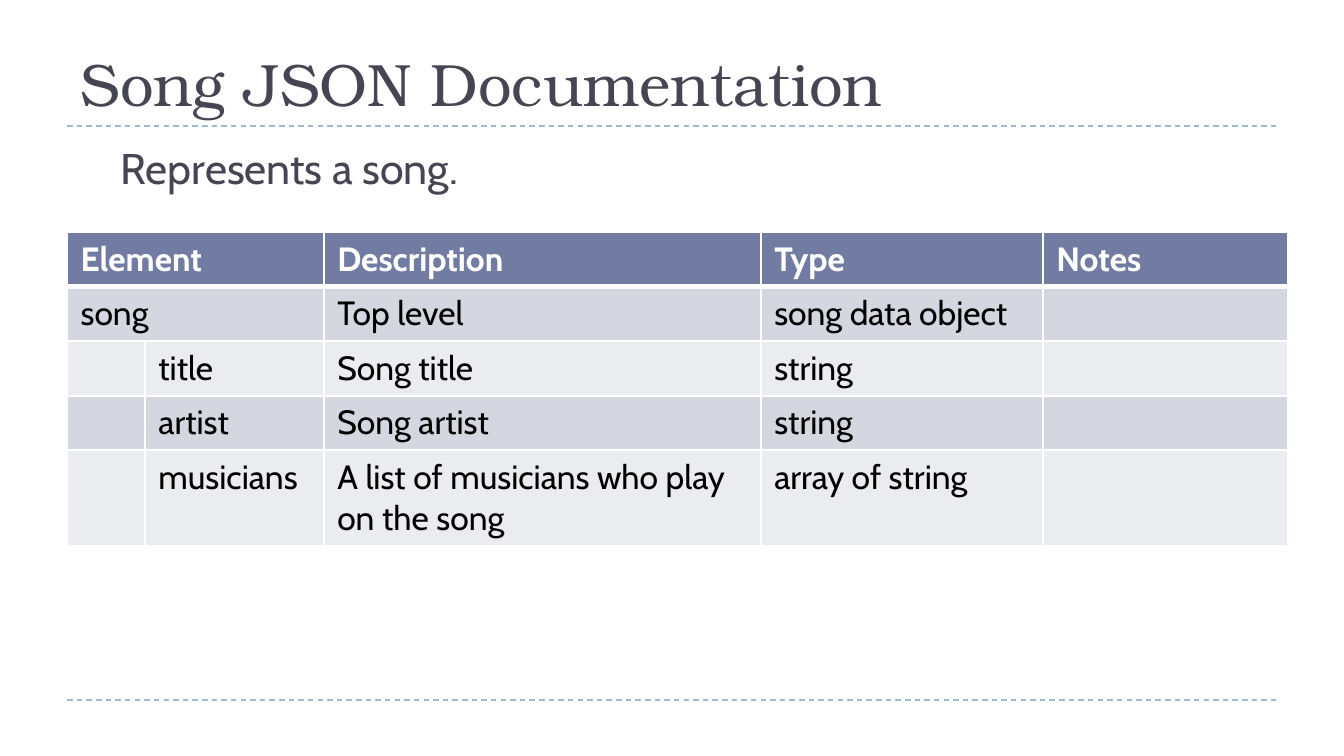
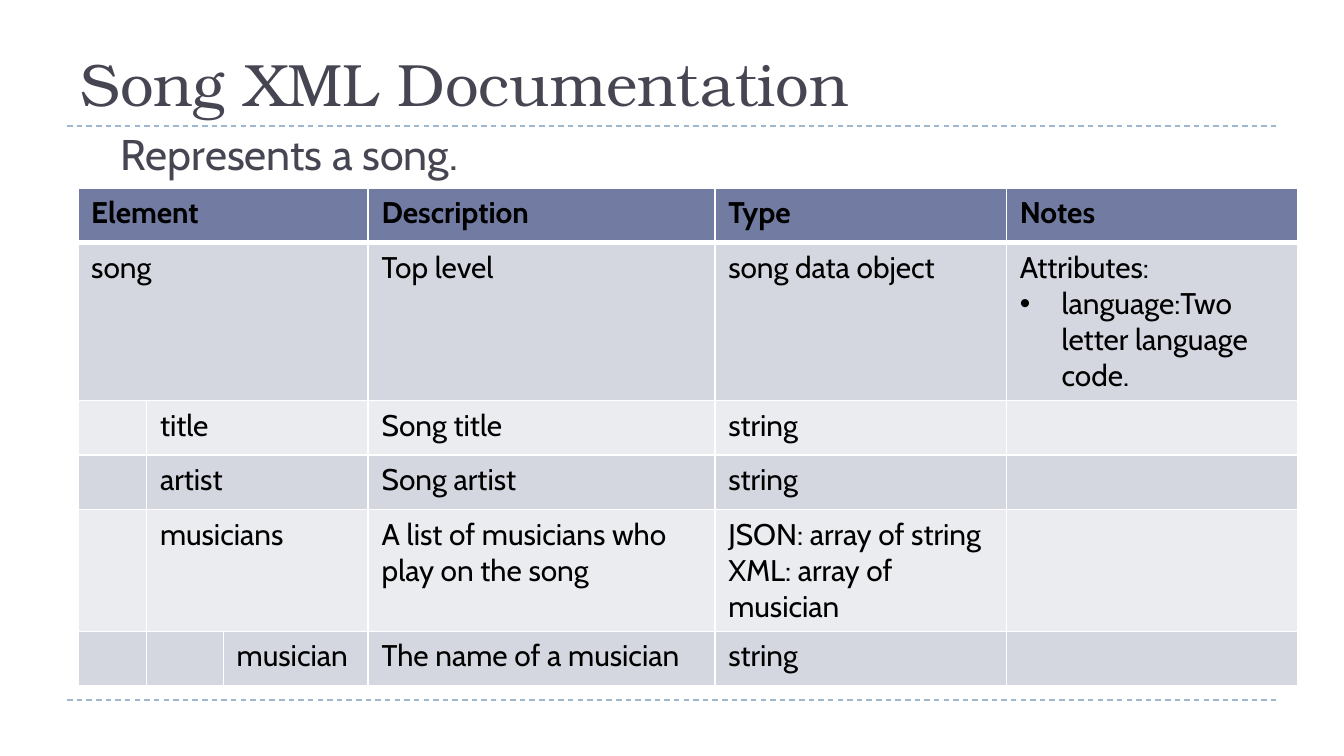
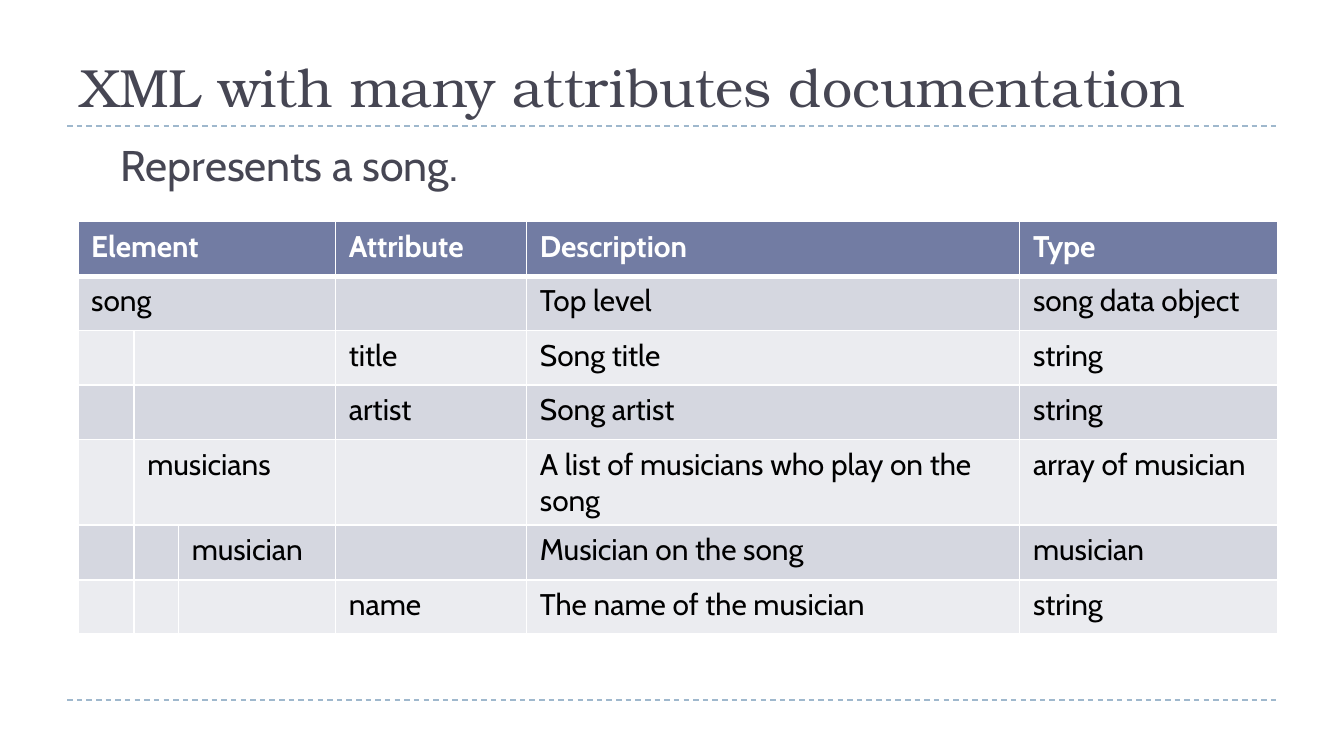
from dataclasses import dataclass
from typing import Any, Optional

from lxml import etree
from pptx import Presentation
from pptx import util as u
from pptx.dml.color import RGBColor
from pptx.enum import dml, shapes, text
from pptx.oxml.ns import qn

INK = RGBColor(0x46, 0x46, 0x53)
RULE = RGBColor(0x9F, 0xB8, 0xCD)
HEAD = RGBColor(0x72, 0x7C, 0xA3)
BANDS = (RGBColor(0xD5, 0xD7, 0xE0), RGBColor(0xEB, 0xEC, 0xF0))
WHITE = RGBColor(0xFF, 0xFF, 0xFF)
BLACK = RGBColor(0x00, 0x00, 0x00)
SERIF, SANS = "TeX Gyre Bonum", "Cabin"

LEFT, WIDTH = 1.27, 22.86
RULE_TOPS = (2.38, 13.23)
ROW_HEIGHT = 1.03
BULLET = "• "

Row = tuple[Optional[str], ...]


@dataclass(frozen=True)
class Grid:
    left: float
    top: float
    cols: tuple[float, ...]
    rows: tuple[Row, ...]
    size: float = 16
    head_color: RGBColor = WHITE


@dataclass(frozen=True)
class Page:
    title: str
    body_top: float
    grid: Grid
    title_size: float = 32


# None continues the cell on its left
PAGES = (
    Page("Song JSON Documentation", 2.54, Grid(
        1.27, 4.39, (1.47, 3.38, 8.26, 5.33, 4.62), (
            ("Element", None, "Description", "Type", "Notes"),
            ("song", None, "Top level", "song data object", ""),
            ("", "title", "Song title", "string", ""),
            ("", "artist", "Song artist", "string", ""),
            ("", "musicians", "A list of musicians who play on the song",
             "array of string", ""),
        ), size=18)),
    Page("Song XML Documentation", 2.29, Grid(
        1.47, 3.56, (1.3, 1.45, 2.74, 6.55, 5.51, 5.51), (
            ("Element", None, None, "Description", "Type", "Notes"),
            ("song", None, None, "Top level", "song data object",
             "Attributes:\n• language:Two letter language code."),
            ("", "title", None, "Song title", "string", ""),
            ("", "artist", None, "Song artist", "string", ""),
            ("", "musicians", None, "A list of musicians who play on the song",
             "JSON: array of string\nXML: array of musician", ""),
            ("", "", "musician", "The name of a musician", "string", ""),
        ), head_color=BLACK)),
    Page("XML with many attributes documentation", 2.49, Grid(
        1.47, 4.19, (1.06, 0.84, 2.97, 3.61, 9.32, 4.88), (
            ("Element", None, None, "Attribute", "Description", "Type"),
            ("song", None, None, "", "Top level", "song data object"),
            ("", "", None, "title", "Song title", "string"),
            ("", "", None, "artist", "Song artist", "string"),
            ("", "musicians", None, "",
             "A list of musicians who play on the song", "array of musician"),
            ("", "", "musician", "", "Musician on the song", "musician"),
            ("", "", "", "name", "The name of the musician", "string"),
        )), title_size=28.8),
)


def set_attrs(obj: Any, fmt: dict[str, Any]) -> None:
    for name, value in fmt.items():
        setattr(obj, name, value)


def add_run(p: Any, words: str, color: RGBColor, fmt: dict[str, Any]) -> None:
    r = p.add_run()
    r.text = words
    set_attrs(r.font, fmt)
    r.font.color.rgb = color


def set_indent(p: Any, left: float, first: float, bullet: str = "") -> None:
    pPr = p._p.get_or_add_pPr()
    pPr.set("marL", str(u.Cm(left)))
    pPr.set("indent", str(u.Cm(first)))
    if bullet:
        etree.SubElement(pPr, qn("a:buFont"), typeface="Arial")
        etree.SubElement(pPr, qn("a:buChar"), char=bullet)
    else:
        etree.SubElement(pPr, qn("a:buNone"))


def fill_placeholder(sp: Any, top: float, height: float, words: str,
                     anchor: Any, fmt: dict[str, Any]) -> Any:
    set_attrs(sp, {"left": u.Cm(LEFT), "top": u.Cm(top),
                   "width": u.Cm(WIDTH), "height": u.Cm(height)})
    tf = sp.text_frame
    set_attrs(tf, {"word_wrap": True, "vertical_anchor": anchor,
                   "auto_size": text.MSO_AUTO_SIZE.NONE})
    p = tf.paragraphs[0]
    p.alignment = text.PP_ALIGN.LEFT
    add_run(p, words, INK, fmt)
    return p


def add_rule(s: Any, top: float) -> None:
    cx = s.shapes.add_connector(shapes.MSO_CONNECTOR.STRAIGHT, u.Cm(LEFT),
                                u.Cm(top), u.Cm(LEFT + WIDTH), u.Cm(top))
    set_attrs(cx.line, {"width": u.Pt(0.75),
                        "dash_style": dml.MSO_LINE.DASH})
    cx.line.color.rgb = RULE
    etree.SubElement(cx._element.spPr, qn("a:effectLst"))


def add_borders(cell: Any, is_head: bool) -> None:
    tcPr = cell._tc.get_or_add_tcPr()
    widths = {"lnL": 1, "lnR": 1, "lnT": 1, "lnB": 3} if is_head else {
        "lnL": 1, "lnR": 1, "lnB": 1}
    for side, width in widths.items():
        ln = etree.SubElement(tcPr, qn(f"a:{side}"), w=str(u.Pt(width)))
        fill = etree.SubElement(ln, qn("a:solidFill"))
        etree.SubElement(fill, qn("a:srgbClr"), val=str(WHITE))


def write_cell(cell: Any, words: str, color: RGBColor,
               fmt: dict[str, Any]) -> None:
    tf = cell.text_frame
    for i, line in enumerate(words.split("\n") if words else ()):
        p = tf.add_paragraph() if i else tf.paragraphs[0]
        if line.startswith(BULLET):
            set_indent(p, 0.79, -0.79, BULLET.strip())
        add_run(p, line.removeprefix(BULLET), color, fmt)


def add_grid(s: Any, grid: Grid) -> None:
    n_rows, n_cols = len(grid.rows), len(grid.cols)
    tbl = s.shapes.add_table(n_rows, n_cols, u.Cm(grid.left), u.Cm(grid.top),
                             u.Cm(sum(grid.cols)),
                             u.Cm(ROW_HEIGHT * n_rows)).table
    for col, width in zip(tbl.columns, grid.cols):
        col.width = u.Cm(width)
    for i, row in enumerate(grid.rows):
        tbl.rows[i].height = u.Cm(ROW_HEIGHT)
        is_head = i == 0
        fmt = {"name": SANS, "size": u.Pt(grid.size), "bold": is_head}
        start = 0
        for j, words in enumerate(row):
            cell = tbl.cell(i, j)
            add_borders(cell, is_head)
            cell.fill.solid()
            cell.fill.fore_color.rgb = HEAD if is_head else BANDS[(i - 1) % 2]
            if words is not None:
                start = j
                write_cell(cell, words,
                           grid.head_color if is_head else BLACK, fmt)
            if j > start and (j + 1 == n_cols or row[j + 1] is not None):
                tbl.cell(i, start).merge(cell)


def add_page(prs: Any, page: Page) -> None:
    s = prs.slides.add_slide(prs.slide_layouts[1])
    for top in RULE_TOPS:
        add_rule(s, top)
    fill_placeholder(s.shapes.title, 0.31, 2.06, page.title,
                     text.MSO_ANCHOR.BOTTOM,
                     {"name": SERIF, "size": u.Pt(page.title_size)})
    p = fill_placeholder(s.placeholders[1], page.body_top, 1.65,
                         "Represents a song.", text.MSO_ANCHOR.TOP,
                         {"name": SANS, "size": u.Pt(23)})
    set_attrs(p, {"level": 1, "space_before": u.Pt(5)})
    set_indent(p, 0.76, 0)
    add_grid(s, page.grid)


def main() -> None:
    prs = Presentation()
    set_attrs(prs, {"slide_width": u.Cm(25.4), "slide_height": u.Cm(14.29)})
    for page in PAGES:
        add_page(prs, page)
    prs.save("out.pptx")


if __name__ == "__main__":
    main()
